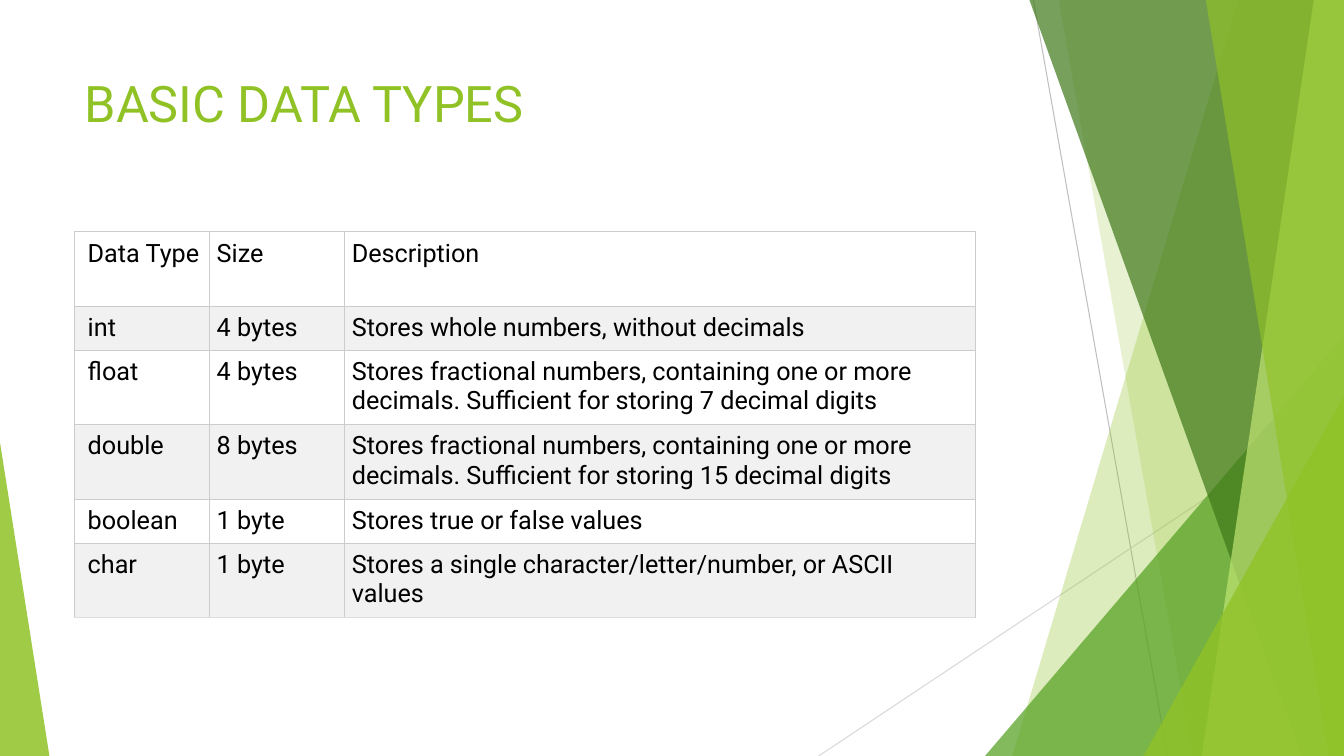
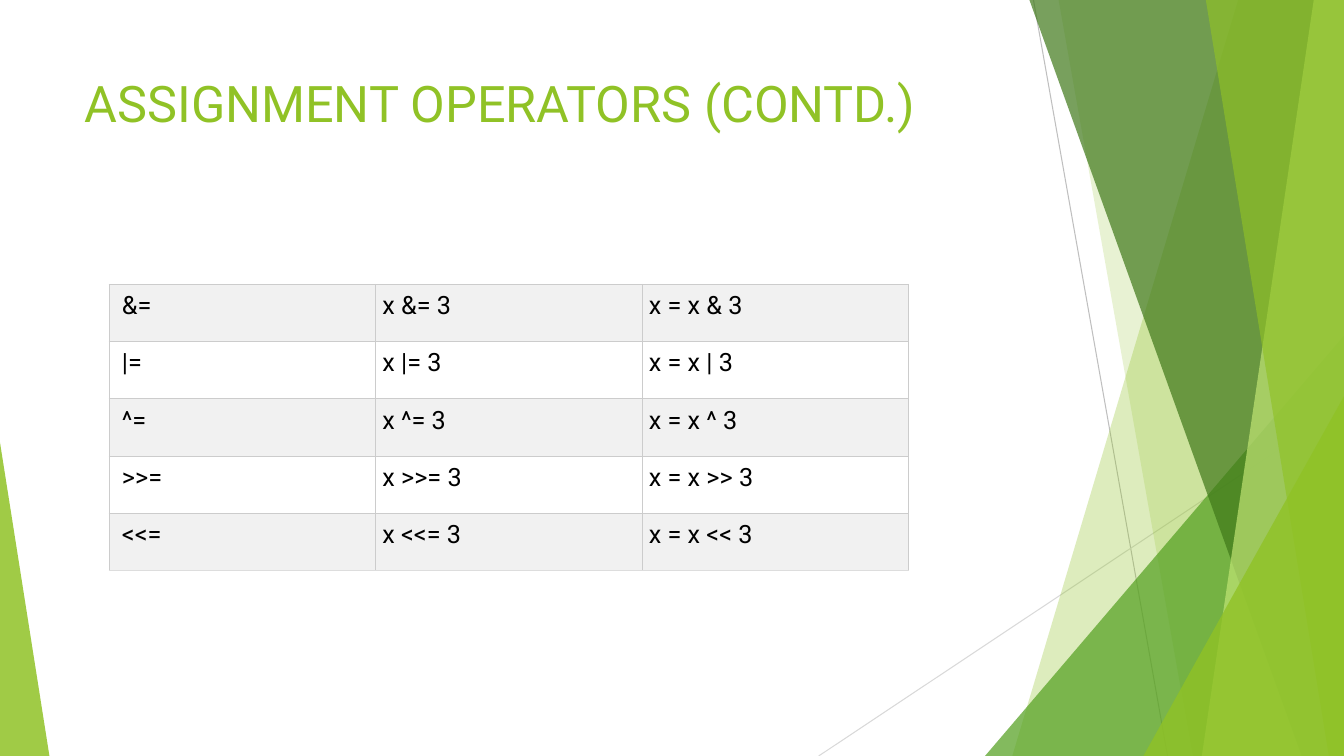
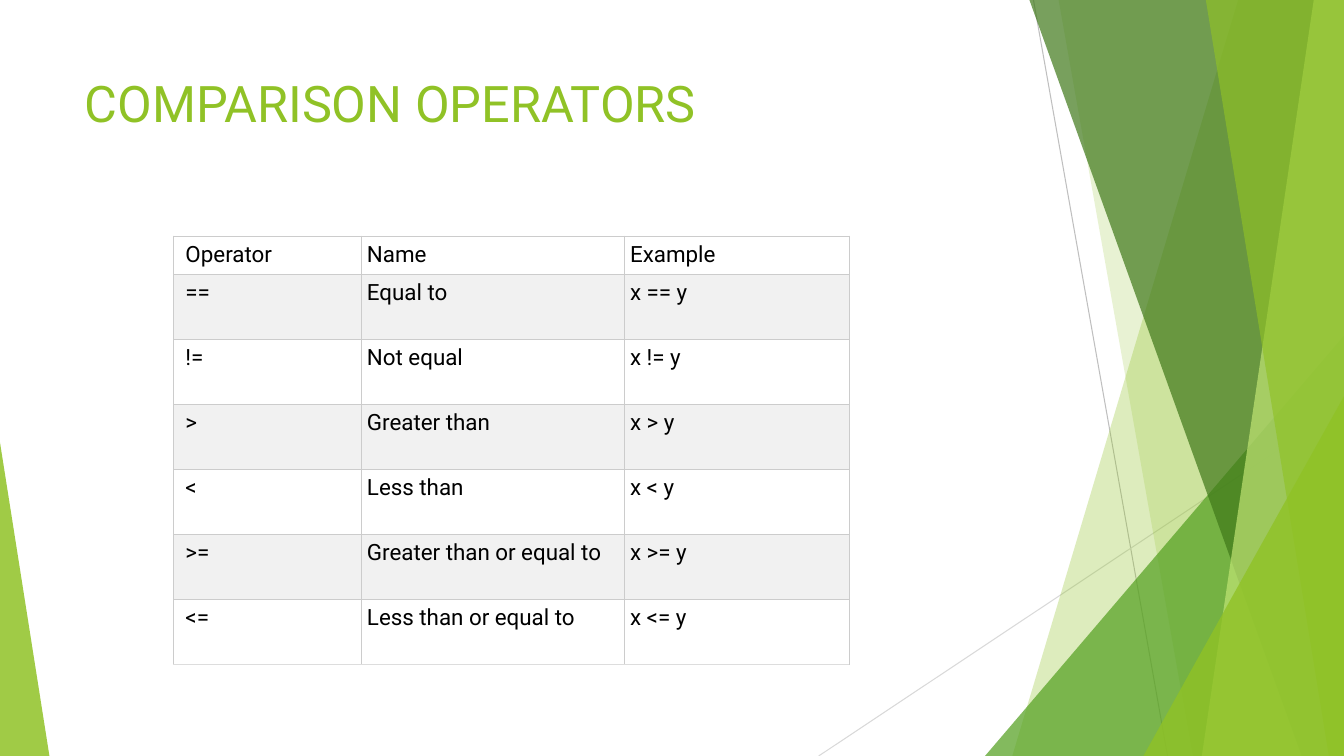
"""Builds three slides of programming tables on a shared green facet background."""
from lxml.etree import SubElement
from pptx import Presentation
from pptx.dml.color import RGBColor
from pptx.enum.shapes import MSO_CONNECTOR, MSO_SHAPE
from pptx.enum.text import MSO_ANCHOR, PP_ALIGN
from pptx.oxml.ns import qn
from pptx.util import Inches, Pt

WIDTH, HEIGHT = 13.33, 7.5
FONT = "Roboto"
GREEN = RGBColor(0x90, 0xC2, 0x26)
MID_GREEN = RGBColor(0x54, 0xA0, 0x21)
DARK_GREEN = RGBColor(0x3F, 0x78, 0x19)
PALE_GREEN = RGBColor(0xC0, 0xE4, 0x74)
BLACK = RGBColor(0x00, 0x00, 0x00)
WHITE = RGBColor(0xFF, 0xFF, 0xFF)
BAND = RGBColor(0xF1, 0xF1, 0xF1)
RULE = RGBColor(0xCC, 0xCC, 0xCC)
LAST_RULE = RGBColor(0xDD, 0xDD, 0xDD)
STEEP_LINE = RGBColor(0xBF, 0xBF, 0xBF)
FLAT_LINE = RGBColor(0xD9, 0xD9, 0xD9)

LINES = [((10.25, 0), (11.58, HEIGHT), STEEP_LINE),
         ((WIDTH, 4.03), (8.12, HEIGHT), FLAT_LINE)]
FACETS = [
    ("blade", 12.28, 10.04, GREEN, 30),
    ("blade", 10.5, 11.83, GREEN, 20),
    ("corner", (9.77, WIDTH), 3.33, MID_GREEN, 72),
    ("blade", 10.21, 12.91, DARK_GREEN, 70),
    ("blade", 13.03, 11.92, PALE_GREEN, 70),
    ("blade", 11.96, 13.18, GREEN, 65),
    ("corner", (11.34, WIDTH), 3.93, GREEN, 80),
    ("corner", (0, 0.49), 4.39, GREEN, 85),
]

SHORT, TALL = 0.43, 0.74
SLIDES = [
    dict(title="BASIC DATA TYPES", at=(0.74, 2.3), size=18, inset=0.07,
         columns=[1.34, 1.34, 6.25], fills=(WHITE, BAND),
         heights=[TALL, SHORT, TALL, TALL, SHORT, TALL],
         rows=[
             ("Data Type", "Size", "Description"),
             ("int", "4 bytes", "Stores whole numbers, without decimals"),
             ("float", "4 bytes", "Stores fractional numbers, containing one or more "
                                  "decimals. Sufficient for storing 7 decimal digits"),
             ("double", "8 bytes", "Stores fractional numbers, containing one or more "
                                   "decimals. Sufficient for storing 15 decimal digits"),
             ("boolean", "1 byte", "Stores true or false values"),
             ("char", "1 byte", "Stores a single character/letter/number, or ASCII values"),
         ]),
    dict(title="ASSIGNMENT OPERATORS (CONTD.)", at=(1.08, 2.82), size=18, inset=0.07,
         columns=[7.93 / 3] * 3, fills=(BAND, WHITE), heights=[2.84 / 5] * 5,
         rows=[(f"{sign}=", f"x {sign}= 3", f"x = x {sign} 3")
               for sign in ("&", "|", "^", ">>", "<<")]),
    dict(title="COMPARISON OPERATORS", at=(1.72, 2.34), size=16, inset=0.06,
         columns=[1.86, 2.61, 2.23], fills=(WHITE, BAND),
         heights=[0.38] + [3.87 / 6] * 6,
         rows=[("Operator", "Name", "Example")] + [
             (sign, name, f"x {sign} y") for sign, name in (
                 ("==", "Equal to"), ("!=", "Not equal"),
                 (">", "Greater than"), ("<", "Less than"),
                 (">=", "Greater than or equal to"), ("<=", "Less than or equal to"))]),
]


def write(frame, text, size, color=BLACK):
    frame.word_wrap = True
    paragraph = frame.paragraphs[0]
    paragraph.alignment = PP_ALIGN.LEFT
    run = paragraph.add_run()
    run.text = text
    run.font.name, run.font.size, run.font.color.rgb = FONT, Pt(size), color


def draw_line(shapes, start, end, color):
    line = shapes.add_connector(MSO_CONNECTOR.STRAIGHT, *map(Inches, start + end))
    line.line.color.rgb, line.line.width = color, Pt(0.75)
    SubElement(line.element.spPr, qn("a:effectLst"))
    return line


def draw_blade(shapes, top_x, bottom_x):
    outline = shapes.build_freeform(Inches(top_x), 0)
    outline.add_line_segments([(Inches(x), Inches(y)) for x, y in (
        (WIDTH, 0), (WIDTH, HEIGHT), (bottom_x, HEIGHT))])
    return outline.convert_to_shape()


def draw_corner(shapes, span, top):
    left, right = span
    corner = shapes.add_shape(MSO_SHAPE.ISOSCELES_TRIANGLE, Inches(left), Inches(top),
                              Inches(right - left), Inches(HEIGHT - top))
    corner.adjustments[0] = 1 if right == WIDTH else 0
    return corner


def draw_facet(shapes, kind, across, down, color, opacity):
    facet = (draw_blade if kind == "blade" else draw_corner)(shapes, across, down)
    facet.shadow.inherit = False
    facet.line.fill.background()
    facet.fill.solid()
    facet.fill.fore_color.rgb = color
    tint = facet.element.spPr.find(qn("a:solidFill"))[0]
    SubElement(tint, qn("a:alpha"), val=str(opacity * 1000))
    return facet


def move_to_master(master, parts):
    for position, part in enumerate(parts):
        part.element.xpath(".//p:cNvPr")[0].set("id", str(100 + position))
        master.shapes.element.insert(2 + position, part.element)


def border(cell, side, color):
    edge = SubElement(cell._tc.get_or_add_tcPr(), qn(f"a:ln{side}"), w=str(Pt(0.6)))
    fill = SubElement(edge, qn("a:solidFill"))
    SubElement(fill, qn("a:srgbClr"), val=str(color))


def draw_table(slide, at, size, inset, columns, heights, fills, rows):
    box = [Inches(n) for n in (*at, sum(columns), sum(heights))]
    table = slide.shapes.add_table(len(rows), len(columns), *box).table
    table.first_row = table.horz_banding = False
    for column, width in zip(table.columns, columns):
        column.width = Inches(width)
    for r, (texts, height) in enumerate(zip(rows, heights)):
        table.rows[r].height = Inches(height)
        for c, text in enumerate(texts):
            cell = table.cell(r, c)
            cell.margin_right = cell.margin_top = cell.margin_bottom = Inches(inset)
            cell.margin_left = Inches(inset if c else 2 * inset - 0.01 * (size > 16))
            for side in "LRTB":
                last = side == "B" and r == len(rows) - 1
                border(cell, side, LAST_RULE if last else RULE)
            cell.fill.solid()
            cell.fill.fore_color.rgb = fills[r % 2]
            write(cell.text_frame, text, size)


def main():
    deck = Presentation()
    deck.slide_width, deck.slide_height = Inches(WIDTH), Inches(HEIGHT)
    layout = deck.slide_layouts.get_by_name("Title Only")
    heading = layout.placeholders[0]
    heading.left, heading.top = Inches(0.74), Inches(0.67)
    heading.width, heading.height = Inches(9.4), Inches(1.44)
    heading.text_frame.vertical_anchor = MSO_ANCHOR.TOP

    slides = [deck.slides.add_slide(layout) for _ in SLIDES]
    canvas = slides[0].shapes
    parts = [draw_line(canvas, *line) for line in LINES]
    parts += [draw_facet(canvas, *facet) for facet in FACETS]
    move_to_master(deck.slide_master, parts)

    for slide, content in zip(slides, SLIDES):
        details = dict(content)
        write(slide.shapes.title.text_frame, details.pop("title"), 36, color=GREEN)
        draw_table(slide, **details)
    deck.save("out.pptx")


if __name__ == "__main__":
    main()
